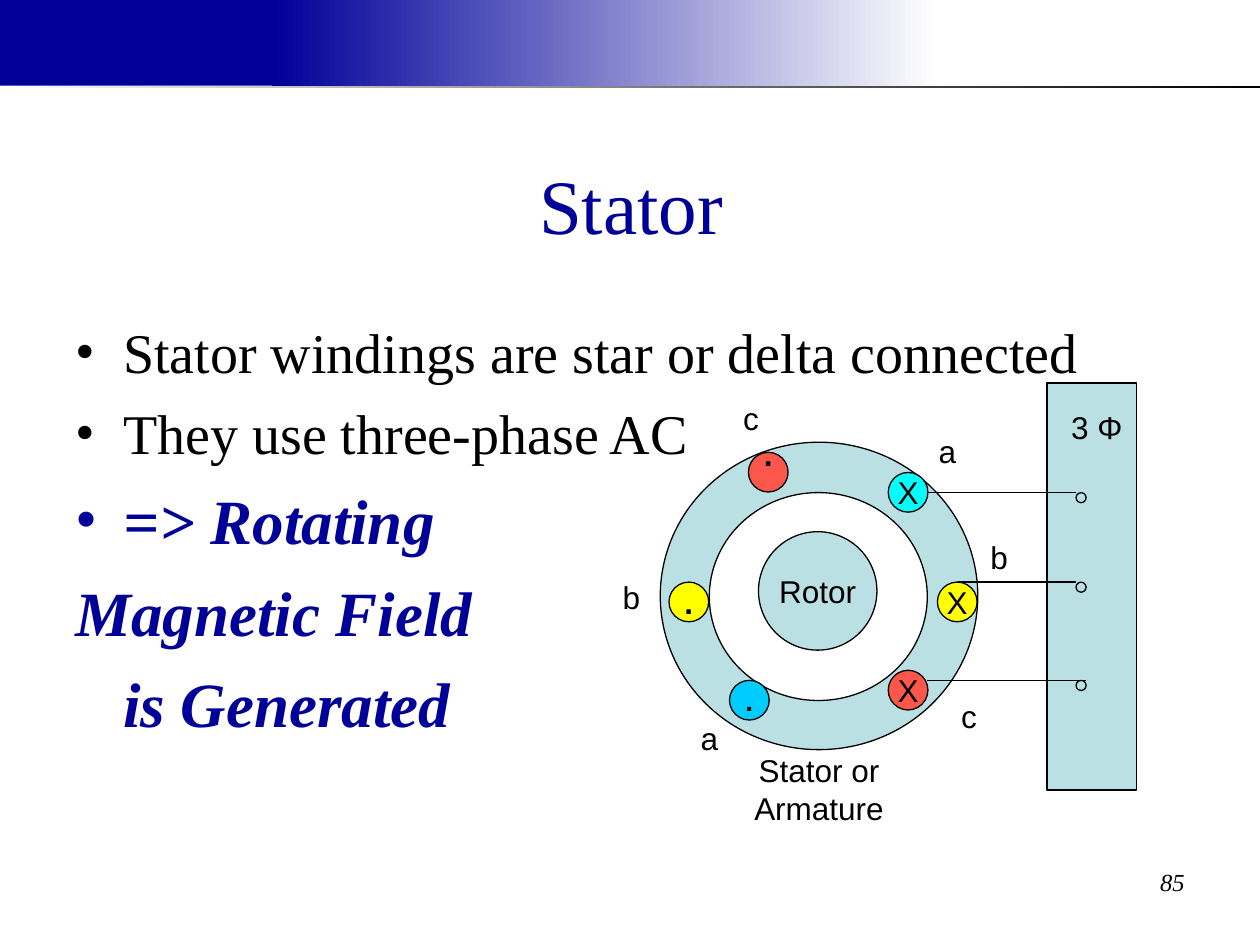
from dataclasses import dataclass

from lxml.etree import SubElement as add_element
from pptx import Presentation
from pptx.dml.color import RGBColor as Color
from pptx.enum.shapes import MSO_CONNECTOR as Connector, MSO_SHAPE as Preset
from pptx.enum.text import MSO_ANCHOR as Anchor, PP_ALIGN as Align
from pptx.oxml.ns import qn
from pptx.util import Inches, Pt


@dataclass(frozen=True)
class Theme:
    navy: str = "000099"
    black: str = "000000"
    white: str = "FFFFFF"
    pale: str = "BBE0E3"
    cyan: str = "00FFFF"
    sky: str = "00CCFF"
    yellow: str = "FFFF00"
    red: str = "FC574A"
    serif: str = "Times New Roman"
    sans: str = "Arial"
    title: int = 44
    body: int = 32
    strong: int = 36
    label: int = 18
    dot: int = 16
    number: int = 14
    line: float = 0.75


@dataclass(frozen=True)
class Box:
    left: float
    top: float
    width: float
    height: float

    def inner(self, left, top, width, height):
        return Box(self.left + left, self.top + top, width, height)

    def lengths(self):
        return [grid(v) for v in (self.left, self.top, self.width, self.height)]


THEME = Theme()
COLUMNS, ROWS = 100, 75
SLIDE_WIDTH, SLIDE_HEIGHT = Inches(10), Inches(7.5)


def grid(steps):
    return round(steps * SLIDE_WIDTH / COLUMNS)


def apply(target, values):
    for name, value in values.items():
        setattr(target, name, value)


def write(paragraph, text, size=THEME.label, name=THEME.sans,
          color=THEME.black, align=Align.CENTER, **style):
    paragraph.alignment = align
    run = paragraph.add_run()
    run.text = text
    apply(run.font, {"size": Pt(size), "name": name, **style})
    run.font.color.rgb = Color.from_string(color)


def add_text(slide, box, lines, frame=None, **style):
    text_frame = slide.shapes.add_textbox(*box.lengths()).text_frame
    apply(text_frame, {"word_wrap": True, **(frame or {})})
    for index, line in enumerate(lines):
        paragraph = text_frame.add_paragraph() if index else text_frame.paragraphs[0]
        write(paragraph, line, **style)


def add_outline(slide, box, fill, preset=Preset.OVAL):
    shape = slide.shapes.add_shape(preset, *box.lengths())
    shape.shadow.inherit = False
    shape.fill.solid()
    shape.fill.fore_color.rgb = Color.from_string(fill)
    shape.line.color.rgb = Color.from_string(THEME.black)
    shape.line.width = Pt(THEME.line)
    return shape


def add_marked(slide, box, fill, text, lift=0, **style):
    frame = add_outline(slide, box, fill).text_frame
    apply(frame, {"word_wrap": False, "vertical_anchor": Anchor.MIDDLE,
                  "margin_top": 0, "margin_bottom": grid(lift)})
    write(frame.paragraphs[0], text, **style)


def add_wire(slide, box, start, end, row):
    y = grid(box.top + row)
    wire = slide.shapes.add_connector(
        Connector.STRAIGHT, grid(box.left + start), y, grid(box.left + end), y)
    wire.line.color.rgb = Color.from_string(THEME.black)
    wire.line.width = Pt(THEME.line)
    add_element(wire._element.spPr, qn("a:effectLst"))


def add_banner(slide, box):
    split, fade, rule = 21.6, 52.8, 0.2
    bands = (
        (box.inner(0, 0, split, box.height), (THEME.navy,)),
        (box.inner(split, 0, fade, box.height), (THEME.navy, THEME.white)),
        (box.inner(0, box.height, box.width, rule), (THEME.white, THEME.black)),
    )
    for band, colors in bands:
        shape = slide.shapes.add_shape(Preset.RECTANGLE, *band.lengths())
        shape.shadow.inherit = False
        shape.line.fill.background()
        if len(colors) == 1:
            shape.fill.solid()
            shape.fill.fore_color.rgb = Color.from_string(colors[0])
        else:
            shape.fill.gradient()
            shape.fill.gradient_angle = 0
            for stop, color in zip(shape.fill.gradient_stops, colors):
                stop.color.rgb = Color.from_string(color)


def add_bullets(slide, box):
    plain = {"size": THEME.body, "color": THEME.black}
    strong = {"size": THEME.strong, "color": THEME.navy, "bold": True, "italic": True}
    hang = Inches(0.38)
    items = (
        ("Stator windings are star or delta connected", plain, hang, -hang, True),
        ("They use three-phase AC", plain, hang, -hang, True),
        ("=> Rotating", strong, hang, -hang, True),
        ("Magnetic Field", strong, hang, -hang, False),
        ("is Generated", strong, hang, 0, False),
    )
    frame = slide.shapes.add_textbox(*box.lengths()).text_frame
    apply(frame, {"word_wrap": True, "margin_top": Inches(0.11)})
    for index, (text, style, margin, indent, bullet) in enumerate(items):
        paragraph = frame.add_paragraph() if index else frame.paragraphs[0]
        properties = paragraph._p.get_or_add_pPr()
        properties.set("marL", str(margin))
        properties.set("indent", str(indent))
        if bullet:
            add_element(properties, qn("a:buFont"), typeface=THEME.serif)
            add_element(properties, qn("a:buChar"), char="•")
        else:
            add_element(properties, qn("a:buNone"))
        if index:
            paragraph.space_before = Pt(style["size"] / 4)
        write(paragraph, text, name=THEME.serif, align=Align.LEFT, **style)


def add_machine(slide, box):
    add_outline(slide, box.inner(4, 4.7, 25.2, 24.4), THEME.pale)
    add_outline(slide, box.inner(7.9, 8.7, 17.3, 16.5), THEME.white)
    add_marked(slide, box.inner(11.8, 11.8, 9.4, 9.4), THEME.pale, "Rotor")
    add_text(slide, box.inner(4, 28.7, 25.2, 6.8), ("Stator or", "Armature"))

    coil = 3.15
    dot = {"bold": True}
    coils = (
        (22.1, 7.1, THEME.cyan, "X", {}),
        (9.5, 23.6, THEME.sky, ".", {"size": THEME.dot, **dot}),
        (26, 15.8, THEME.yellow, "X", {}),
        (4.7, 15.8, THEME.yellow, ".", dot),
        (11, 5.5, THEME.red, ".", {"lift": 2.9, **dot}),
        (22.1, 22.8, THEME.red, "X", {}),
    )
    for left, top, fill, mark, style in coils:
        add_marked(slide, box.inner(left, top, coil, coil), fill, mark, **style)

    labels = (("a", 25.1, 3.4), ("b", 29.2, 11.8), ("c", 26.8, 24.4),
              ("a", 6.2, 26.2), ("c", 9.5, 0.8), ("b", 0, 15))
    for text, left, top in labels:
        add_text(slide, box.inner(left, top, 3.4, 4), (text,), {"word_wrap": False})


def add_supply(slide, box):
    add_outline(slide, box, THEME.pale, Preset.RECTANGLE)
    add_text(slide, box.inner(-0.7, 1.5, 9.3, 4), ("3 Φ",))
    terminal, size = 2.3, 0.8
    wires = ((8.7, -9.5, terminal), (15.8, -7.1, terminal),
             (23.6, -9.5, terminal + size))
    for row, start, end in wires:
        add_outline(slide, box.inner(terminal, row, size, size), THEME.pale)
        add_wire(slide, box, start, end, row)


def build_slide(presentation):
    slide = presentation.slides.add_slide(presentation.slide_layouts[6])
    add_banner(slide, Box(0, 0, COLUMNS, 6.8))
    add_text(slide, Box(71.7, 68.3, 23.3, ROWS - 69.8), ("85",), size=THEME.number,
             name=THEME.serif, align=Align.RIGHT, italic=True)
    add_text(slide, Box(5.1, 9.9, 90, 12.5), ("Stator",),
             {"vertical_anchor": Anchor.MIDDLE}, size=THEME.title,
             name=THEME.serif, color=THEME.navy)
    add_bullets(slide, Box(5, 24.1, 90, 42.9))
    add_machine(slide, Box(48.4, 30.4, 34.7, 35.5))
    add_supply(slide, Box(83.1, 30.4, 7.1, 32.3))


def main():
    presentation = Presentation()
    apply(presentation, {"slide_width": SLIDE_WIDTH, "slide_height": SLIDE_HEIGHT})
    build_slide(presentation)
    presentation.save("out.pptx")


if __name__ == "__main__":
    main()
